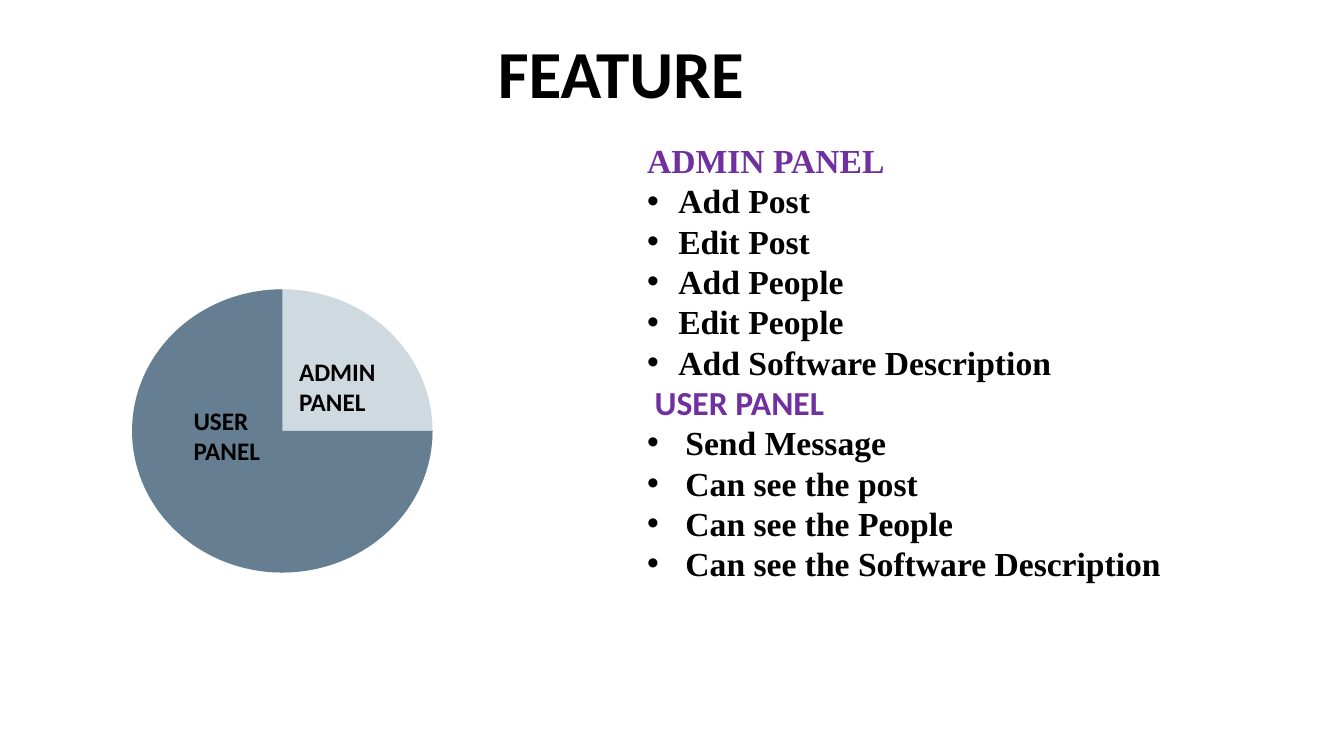
from dataclasses import dataclass

from lxml.etree import SubElement
from pptx import Presentation
from pptx.dml.color import RGBColor
from pptx.enum.shapes import MSO_SHAPE
from pptx.enum.text import MSO_ANCHOR, PP_ALIGN
from pptx.oxml.ns import qn
from pptx.util import Inches, Pt


@dataclass(frozen=True)
class Theme:
    sans: str = "Calibri"
    serif: str = "Times New Roman"
    text: str = "000000"
    heading: str = "7030A0"
    admin_fill: str = "CFD9E0"
    user_fill: str = "667E92"
    title_size: int = 48
    list_size: int = 24
    label_size: int = 18


class FeaturePage:
    def __init__(self, deck, theme):
        self.theme = theme
        self.page = deck.slides.add_slide(deck.slide_layouts[6])

    def style(self, para, size, family, color):
        para.alignment = PP_ALIGN.LEFT
        font = para.font
        font.name, font.size, font.bold = family, Pt(size), True
        font.color.rgb = RGBColor.from_string(color)

    def bullet(self, para, indent):
        properties = para._p.get_or_add_pPr()
        properties.set("marL", str(Inches(indent)))
        properties.set("indent", str(-Inches(indent)))
        SubElement(properties, qn("a:buFont")).set("typeface", "Arial")
        SubElement(properties, qn("a:buChar")).set("char", "•")

    def text_box(self, left, top, width, height):
        box = self.page.shapes.add_textbox(
            Inches(left), Inches(top), Inches(width), Inches(height))
        box.text_frame.word_wrap = True
        return box.text_frame

    def title(self, text, *place):
        para = self.text_box(*place).paragraphs[0]
        para.text = text
        self.style(para, self.theme.title_size, self.theme.sans, self.theme.text)

    def panel_list(self, panels, *place):
        theme = self.theme
        frame = self.text_box(*place)
        para = frame.paragraphs[0]
        for number, (heading, family, indent, items) in enumerate(panels):
            if number:
                para = frame.add_paragraph()
            para.text = heading
            self.style(para, theme.list_size, family, theme.heading)
            for item in items:
                para = frame.add_paragraph()
                para.text = item
                self.style(para, theme.list_size, theme.serif, theme.text)
                self.bullet(para, indent)

    def sector(self, kind, fill, lines, inset_left, inset_top, *place):
        shape = self.page.shapes.add_shape(kind, *map(Inches, place))
        shape.shadow.inherit = False
        shape.fill.solid()
        shape.fill.fore_color.rgb = RGBColor.from_string(fill)
        shape.line.fill.background()
        frame = shape.text_frame
        frame.word_wrap = True
        frame.vertical_anchor = MSO_ANCHOR.TOP
        frame.margin_left, frame.margin_top = Inches(inset_left), Inches(inset_top)
        frame.margin_right = frame.margin_bottom = 0
        frame.text = "\n".join(lines)
        for para in frame.paragraphs:
            self.style(para, self.theme.label_size, self.theme.sans, self.theme.text)
        return shape


def main():
    deck = Presentation()
    deck.slide_width, deck.slide_height = Inches(13.33), Inches(7.5)
    theme = Theme()
    feature = FeaturePage(deck, theme)

    # Title
    feature.title("FEATURE", 4.84, 0.26, 2.96, 0.91)

    # Features of each panel
    panels = [
        ("ADMIN PANEL", theme.serif, 0.31,
         ["Add Post", "Edit Post", "Add People", "Edit People",
          "Add Software Description"]),
        (" USER PANEL", theme.sans, 0.38,
         ["Send Message", "Can see the post", "Can see the People",
          "Can see the Software Description"]),
    ]
    feature.panel_list(panels, 6.32, 1.34, 6.33, 4.54)

    # Disc with the user share laid over the admin share
    disc = (1.31, 2.87, 2.98, 2.81)
    feature.sector(MSO_SHAPE.OVAL, theme.admin_fill, ["ADMIN", "PANEL"],
                   1.22, 0.25, *disc)
    user = feature.sector(MSO_SHAPE.PIE, theme.user_fill, ["USER", "PANEL"],
                          0.61, 1.15, *disc)
    user.adjustments[0] = 0
    user.adjustments[1] = 162  # 270 degrees

    deck.save("out.pptx")


if __name__ == "__main__":
    main()
